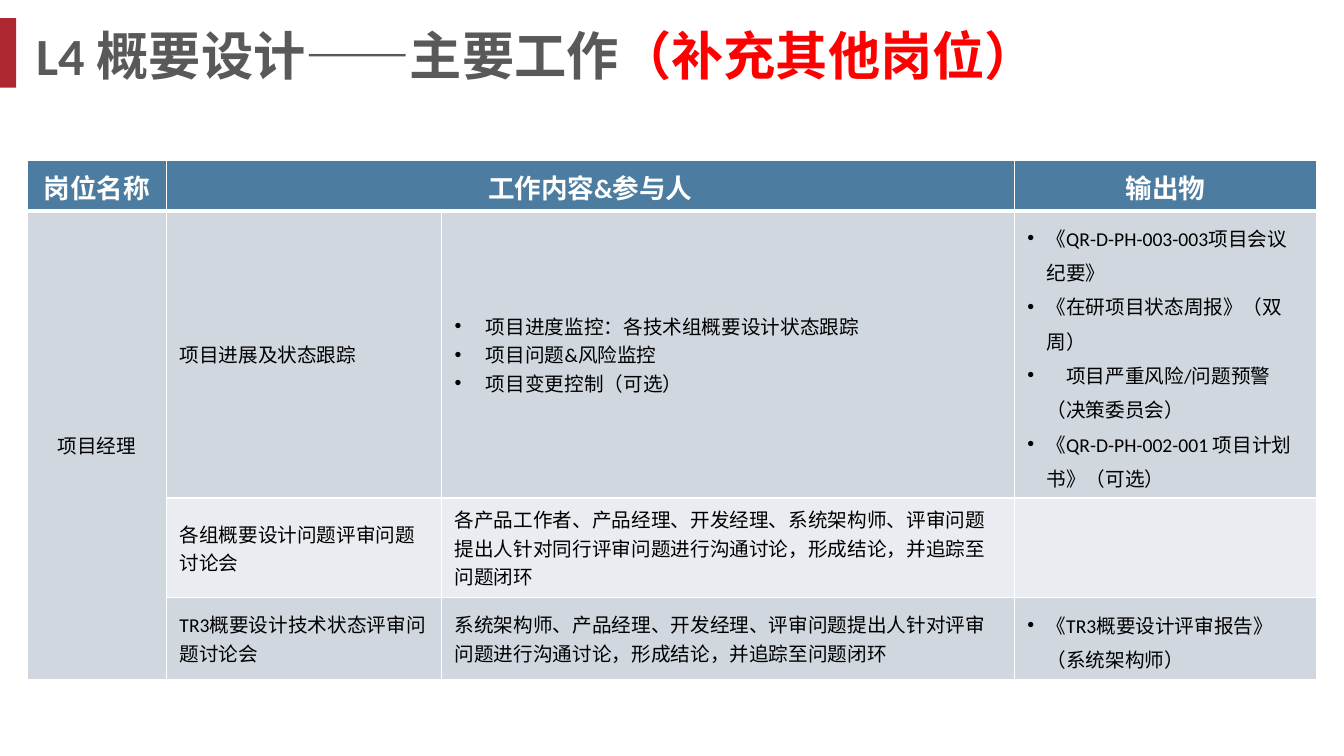
from lxml import etree
from pptx import Presentation
from pptx.dml.color import RGBColor
from pptx.enum.shapes import MSO_SHAPE
from pptx.enum.text import MSO_ANCHOR, PP_ALIGN
from pptx.oxml.ns import qn
from pptx.util import Inches, Pt

RECTANGLE = MSO_SHAPE.RECTANGLE
MIDDLE, TOP = MSO_ANCHOR.MIDDLE, MSO_ANCHOR.TOP
CENTER, LEFT = PP_ALIGN.CENTER, PP_ALIGN.LEFT

CRIMSON = RGBColor(0xAD, 0x28, 0x30)
RED = RGBColor(0xFF, 0x00, 0x00)
GRAY = RGBColor(0x59, 0x59, 0x59)
BLACK = RGBColor(0x00, 0x00, 0x00)
WHITE = RGBColor(0xFF, 0xFF, 0xFF)
HEADER_BLUE = RGBColor(0x4C, 0x7C, 0xA0)
BAND_DARK = RGBColor(0xD0, 0xD7, 0xDF)
BAND_LIGHT = RGBColor(0xE9, 0xEC, 0xF0)

FONT = "Calibri"
COLUMN_WIDTHS = (1.38, 2.73, 5.68, 3)
ROW_HEIGHTS = (0.5, 2.85, 0.99, 0.81)
TABLE_LEFT, TABLE_TOP = 0.27, 1.59
TASK_INDENT, OUTPUT_INDENT = 0.31, 0.19
RULE, HEADER_RULE = 1, 3

HEADINGS = ("岗位名称", "工作内容&参与人", "", "输出物")
ROLE = "项目经理"
# Each row: work item, details, outputs; a tuple is a bulleted list.
WORK_ROWS = (
    ("项目进展及状态跟踪",
     ("项目进度监控：各技术组概要设计状态跟踪", "项目问题&风险监控", "项目变更控制（可选）"),
     ("《QR-D-PH-003-003项目会议纪要》", "《在研项目状态周报》（双周）",
      "　项目严重风险/问题预警（决策委员会）", "《QR-D-PH-002-001 项目计划书》（可选）")),
    ("各组概要设计问题评审问题讨论会",
     "各产品工作者、产品经理、开发经理、系统架构师、评审问题提出人针对同行评审问题进行沟通讨论，形成结论，并追踪至问题闭环",
     ()),
    ("TR3概要设计技术状态评审问题讨论会",
     "系统架构师、产品经理、开发经理、评审问题提出人针对评审问题进行沟通讨论，形成结论，并追踪至问题闭环",
     ("《TR3概要设计评审报告》（系统架构师）",)),
)


def add_run(paragraph, text, size, color, bold=False):
    run = paragraph.add_run()
    run.text = text
    run.font.name = FONT
    run.font.size = Pt(size)
    run.font.bold = bold
    run.font.color.rgb = color


def add_bullet(paragraph, indent):
    properties = paragraph._p.get_or_add_pPr()
    properties.set("marL", str(Inches(indent)))
    properties.set("indent", str(-Inches(indent)))
    font = etree.SubElement(properties, qn("a:buFont"))
    font.set("typeface", "Arial")
    etree.SubElement(properties, qn("a:buChar")).set("char", "•")


def set_borders(cell, top, bottom):
    properties = cell._tc.get_or_add_tcPr()
    for side, width in (("L", RULE), ("R", RULE), ("T", top), ("B", bottom)):
        line = etree.SubElement(properties, qn(f"a:ln{side}"))
        line.set("w", str(Pt(width)))
        fill = etree.SubElement(line, qn("a:solidFill"))
        etree.SubElement(fill, qn("a:srgbClr")).set("val", str(WHITE))


def style_cell(cell, row):
    set_borders(cell, HEADER_RULE if row == 1 else RULE,
                HEADER_RULE if row == 0 else RULE)
    cell.fill.solid()
    cell.fill.fore_color.rgb = (HEADER_BLUE, BAND_DARK, BAND_LIGHT, BAND_DARK)[row]
    cell.margin_left = cell.margin_right = Inches(0.13)
    cell.margin_top = cell.margin_bottom = Inches(0.07)
    cell.vertical_anchor = MIDDLE if row else TOP


def write_text(cell, text, size=14, color=BLACK, bold=False, align=LEFT):
    paragraph = cell.text_frame.paragraphs[0]
    paragraph.alignment = align
    add_run(paragraph, text, size, color, bold)


def write_list(cell, items, indent, spacing=None):
    frame = cell.text_frame
    for index, item in enumerate(items):
        paragraph = frame.add_paragraph() if index else frame.paragraphs[0]
        if spacing:
            paragraph.line_spacing = spacing
        add_bullet(paragraph, indent)
        add_run(paragraph, item, 14, BLACK)


def add_accent_bar(slide):
    bar = slide.shapes.add_shape(RECTANGLE, 0, Inches(0.18), Inches(0.16), Inches(0.69))
    bar.shadow.inherit = False
    bar.fill.solid()
    bar.fill.fore_color.rgb = CRIMSON
    bar.line.fill.background()


def add_title(slide):
    box = slide.shapes.add_textbox(Inches(0.26), Inches(0.18), Inches(10.81), Inches(0.73))
    frame = box.text_frame
    frame.word_wrap = True
    frame.vertical_anchor = MIDDLE
    paragraph = frame.paragraphs[0]
    add_run(paragraph, "L4 概要设计——主要工作", 37.3, GRAY, True)
    add_run(paragraph, "（补充其他岗位）", 37.3, RED, True)


def add_work_table(slide):
    table = slide.shapes.add_table(
        len(ROW_HEIGHTS), len(COLUMN_WIDTHS), Inches(TABLE_LEFT), Inches(TABLE_TOP),
        Inches(sum(COLUMN_WIDTHS)), Inches(sum(ROW_HEIGHTS))).table
    for column, width in zip(table.columns, COLUMN_WIDTHS):
        column.width = Inches(width)
    for index, height in enumerate(ROW_HEIGHTS):
        table.rows[index].height = Inches(height)
        for cell in table.rows[index].cells:
            style_cell(cell, index)
    table.cell(0, 1).merge(table.cell(0, 2))
    table.cell(1, 0).merge(table.cell(3, 0))

    for column, heading in enumerate(HEADINGS):
        if heading:
            write_text(table.cell(0, column), heading, 19, WHITE, True, CENTER)
    write_text(table.cell(1, 0), ROLE, align=CENTER)
    for row, (work_item, details, outputs) in enumerate(WORK_ROWS, start=1):
        write_text(table.cell(row, 1), work_item)
        if isinstance(details, tuple):
            write_list(table.cell(row, 2), details, TASK_INDENT)
        else:
            write_text(table.cell(row, 2), details)
        write_list(table.cell(row, 3), outputs, OUTPUT_INDENT, 1.2)


def main():
    presentation = Presentation()
    presentation.slide_width = Inches(13.33)
    presentation.slide_height = Inches(7.5)
    slide = presentation.slides.add_slide(presentation.slide_layouts[6])
    add_accent_bar(slide)
    add_title(slide)
    add_work_table(slide)
    presentation.save("out.pptx")


if __name__ == "__main__":
    main()
